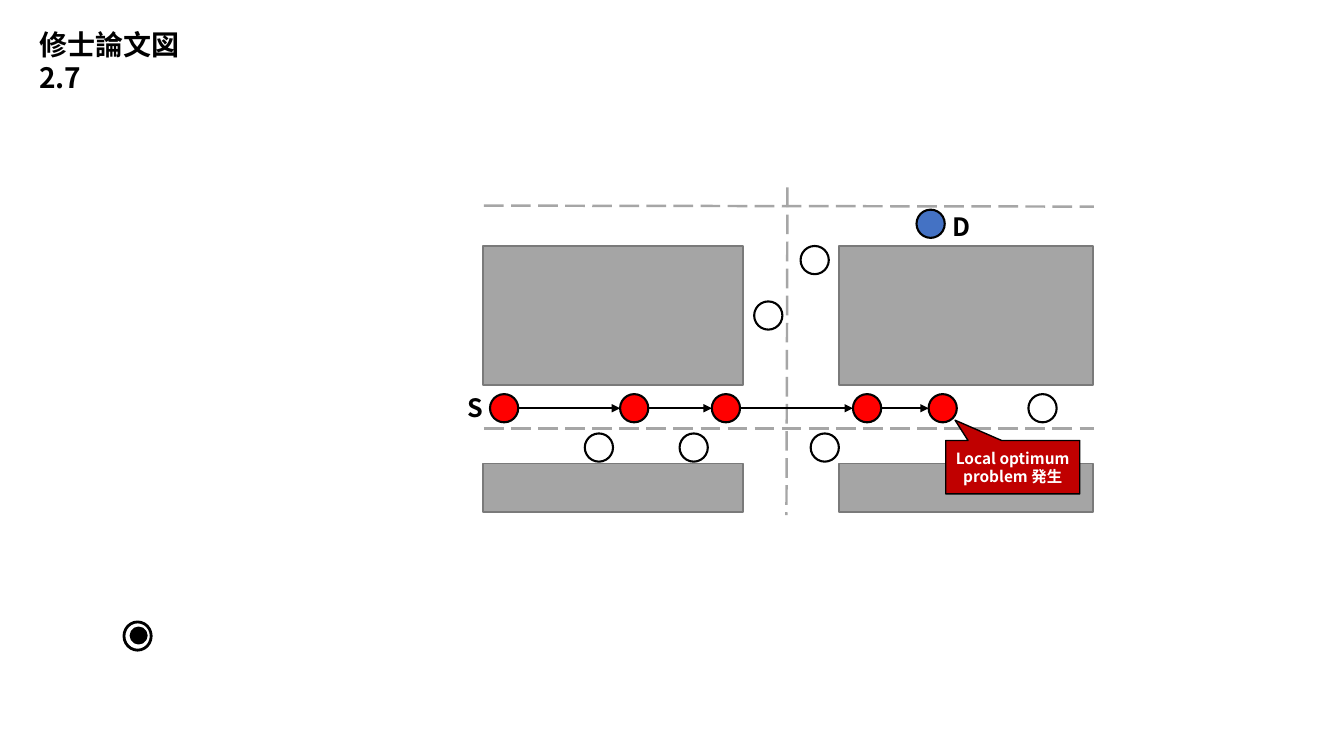
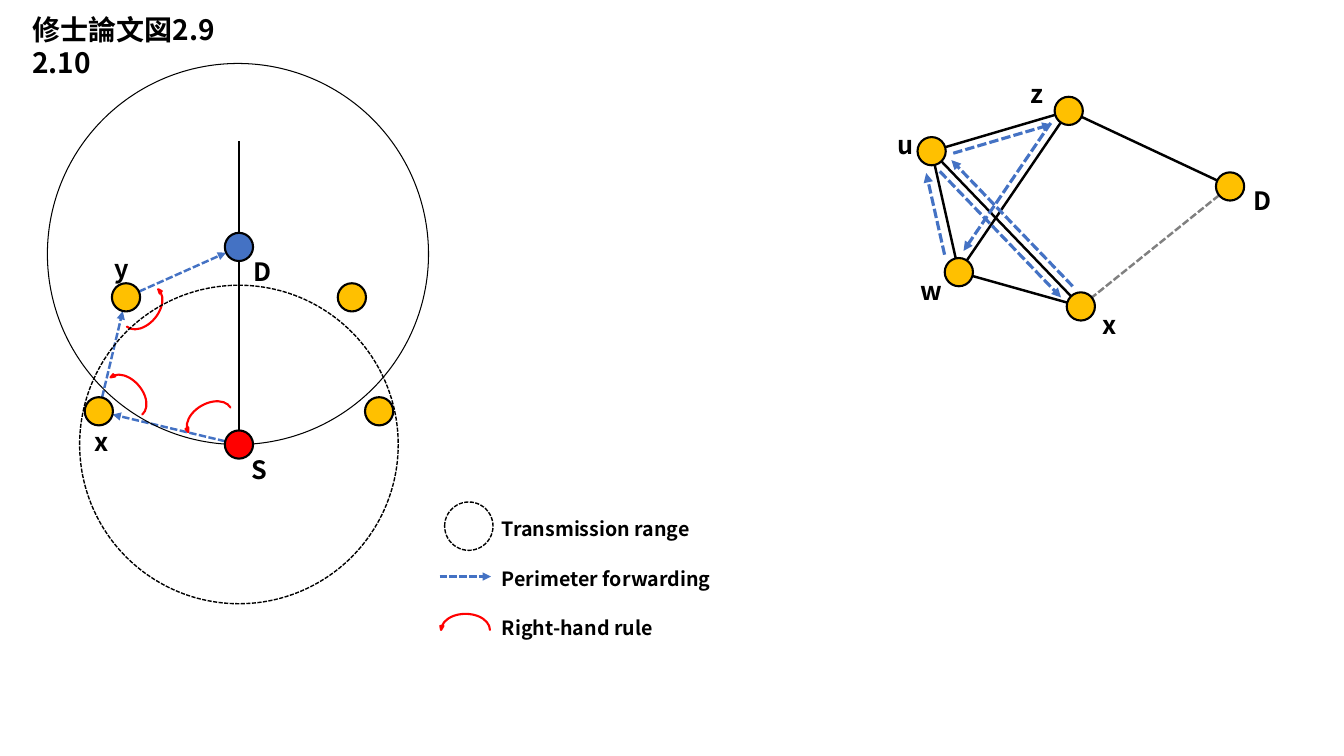
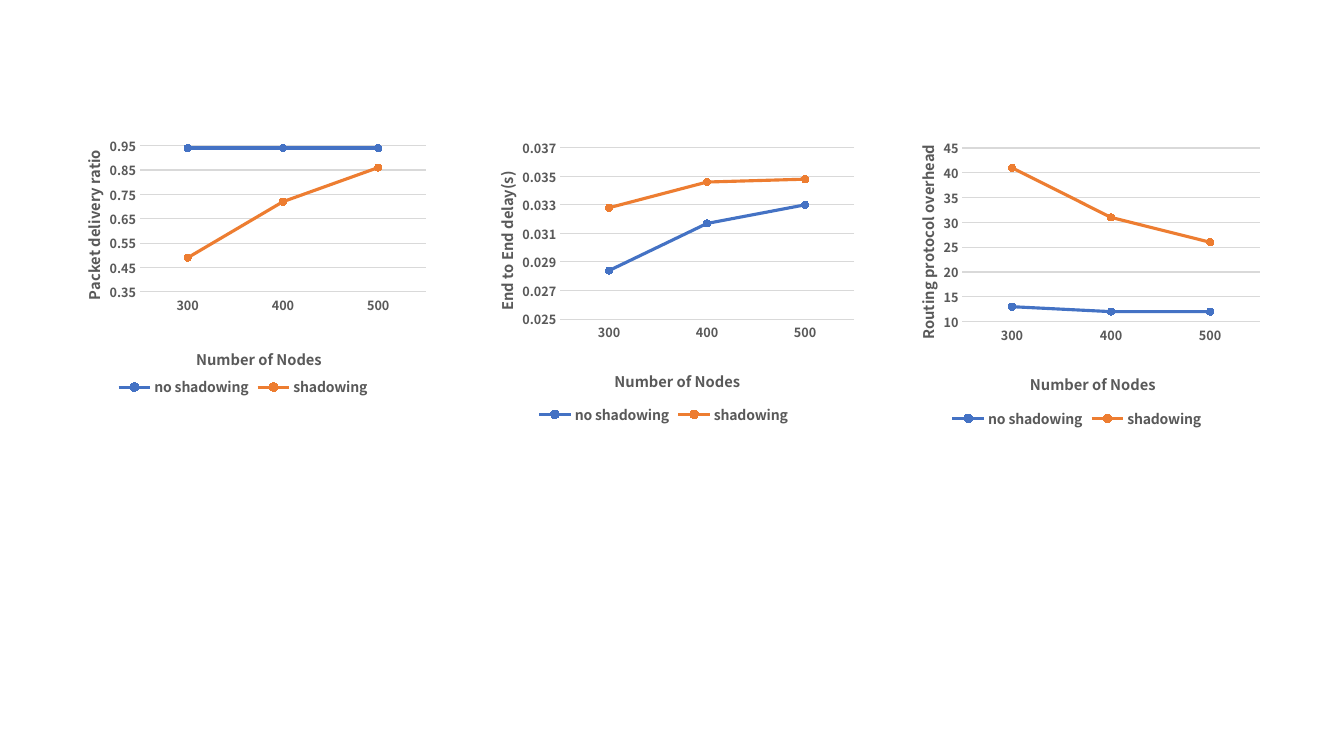
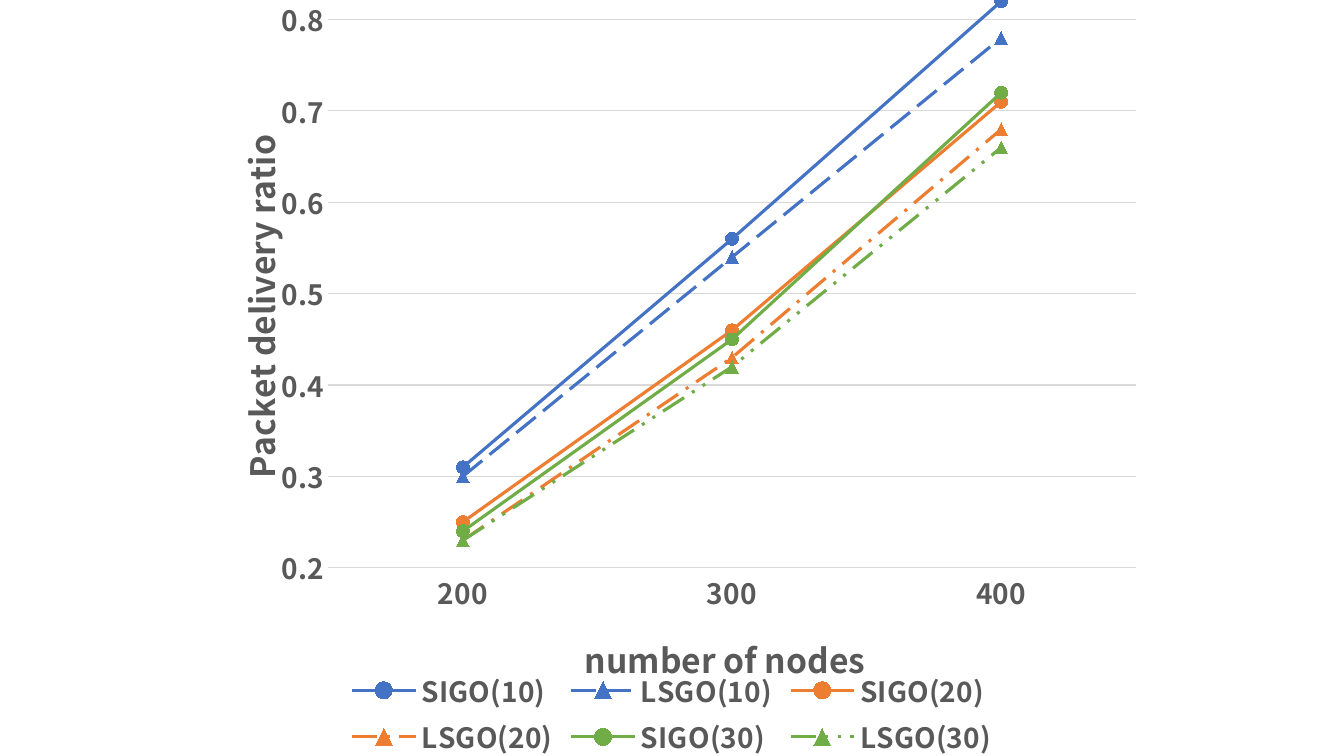
"""Build four slides of routing figures and simulation charts."""
import math

from lxml import etree
from pptx import Presentation
from pptx import util as u
from pptx.chart.data import CategoryChartData
from pptx.dml.color import RGBColor
from pptx.enum import chart as ch, dml, shapes, text
from pptx.oxml.ns import qn

FONT = "Noto Sans CJK JP"
BLACK, WHITE, RED, BLUE = "000000", "FFFFFF", "FF0000", "4472C4"
GOLD, ORANGE, GREEN = "FFC000", "ED7D31", "70AD47"
GREY, BLOCK, BLOCK_EDGE, ROAD = "595959", "A5A5A5", "7A7A7A", "A6A6A6"
GRID, CRIMSON, FAINT = "D9D9D9", "C00000", "808080"
DASH = dml.MSO_LINE
LONG, SHORT = DASH.LONG_DASH, DASH.SQUARE_DOT
SHAPE = shapes.MSO_SHAPE
OVAL, RECT, ARC = SHAPE.OVAL, SHAPE.RECTANGLE, SHAPE.CURVED_DOWN_ARROW
CALLOUT = SHAPE.RECTANGULAR_CALLOUT
LEFT, CENTER = text.PP_ALIGN.LEFT, text.PP_ALIGN.CENTER
RADIUS = 0.14


def paint(fill, color):
    if color is None:
        fill.background()
    else:
        fill.solid()
        fill.fore_color.rgb = RGBColor.from_string(color)


def write(tf, lines, size, color=BLACK, align=LEFT):
    for i, line in enumerate(lines):
        p = tf.add_paragraph() if i else tf.paragraphs[0]
        p.alignment = align
        r = p.add_run()
        r.text = line
        for key, value in {"size": u.Pt(size), "bold": True, "name": FONT}.items():
            setattr(r.font, key, value)
        paint(r.font.fill, color)
        etree.SubElement(r._r.get_or_add_rPr(), qn("a:ea"), typeface=FONT)


prs = Presentation()
prs.slide_width, prs.slide_height = u.Inches(13.33), u.Inches(7.5)

lane, shoulder = 4.05, 4.44
hops = [5, 6.29, 7.2, 8.6, 9.35]
street_nodes = [("D", 9.23, 2.22, BLUE, 0.12, -0.17), ("S", hops[0], lane, RED, -0.46, -0.21)]
street_nodes += [("", x, lane, RED, 0, 0) for x in hops[1:]]
street_nodes += [("", x, y, WHITE, 0, 0) for x, y in (
    (10.34, lane), (5.94, shoulder), (6.88, shoulder), (8.18, shoulder), (7.62, 3.13),
    (8.08, 2.58))]
street_lines = [(a, b, ROAD, 1.75, LONG, False, 0, 0) for a, b in (
    ((4.8, 4.25), (10.85, 4.25)), ((4.8, 2.04), (10.85, 2.05)), ((7.81, 1.86), (7.8, 5.11)))]
street_lines += [((a, lane), (b, lane), BLACK, 1.75, None, True, RADIUS, 0)
                 for a, b in zip(hops, hops[1:])]
street_shapes = [(RECT, x, y, w, h, BLOCK, BLOCK_EDGE, 1, None, 0)
                 for x, w in ((4.79, 2.58), (8.32, 2.52))
                 for y, h in ((2.44, 1.38), (4.6, 0.48))]
street_shapes += [(OVAL, 1.23, 6.17, 0.27, 0.28, WHITE, BLACK, 2, None, 0),
                  (OVAL, 1.3, 6.23, 0.15, 0.15, BLACK, BLACK, 2, None, 0)]

axis_x, s_y, low_y, high_y = 2.37, 4.41, 4.08, 2.95
face_nodes = [
    ("S", axis_x, s_y, RED, 0.03, 0.05), ("x", 0.98, low_y, GOLD, -0.14, 0.1),
    ("y", 1.25, high_y, GOLD, -0.21, -0.49), ("D", axis_x, 2.45, BLUE, 0.05, 0.04)]
route = [node[1:3] for node in face_nodes]
face_nodes += [("", 2 * axis_x - x, y, GOLD, 0, 0) for x, y in route[1:3]]
graph = [("x", 10.72, 3.04, GOLD, 0.12, -0.02), ("D", 12.2, 1.85, GOLD, 0.13, -0.06),
         ("z", 10.6, 1.1, GOLD, -0.48, -0.37), ("u", 9.24, 1.5, GOLD, -0.44, -0.27),
         ("w", 9.51, 2.7, GOLD, -0.48, -0.02)]
at = {node[0]: node[1:3] for node in graph}
face_lines = [((axis_x, 1.4), (axis_x, s_y), BLACK, 1.75, None, False, 0, 0)]
face_lines += [(a, b, BLUE, 1.75, SHORT, True, RADIUS, 0) for a, b in zip(route, route[1:])]
face_lines += [((4.36, 5.72), (4.87, 5.72), BLUE, 1.75, SHORT, True, 0, 0)]
face_lines += [(at[a], at[b], BLACK, 1.75, None, False, RADIUS, 0)
               for a, b in ("zD", "zw", "xw", "wu", "uz", "ux")]
face_lines += [(at["D"], at["x"], FAINT, 1.75, SHORT, False, RADIUS, 0)]
face_lines += [(at[a], at[b], BLUE, 2.25, SHORT, True, 0.2, -0.1 if a == "w" else 0.08)
               for a, b in zip("xuzwu", "uzwux")]
face_shapes = [(ARC, x - 0.25, y - 0.08, 0.5, 0.16, BLUE, RED, 1.5, None, turn)
               for x, y, turn in ((1.31, 3.87, 49.5), (2.03, 4.1, 329.8),
                                  (1.48, 3.1, 129.9), (4.61, 6.17, 0))]
face_shapes += [(OVAL, x - r, y - r, 2 * r, 2 * r, None, BLACK, width, dash, 0)
                for x, y, r, width, dash in ((2.36, 2.52, 1.89, 0.75, None),
                                             (axis_x, s_y, 1.58, 1, SHORT),
                                             (4.65, 5.22, 0.24, 1, SHORT))]
legend = ["Transmission range", "Perimeter forwarding", "Right-hand rule"]
legend_labels = [(label, 4.88, 5.08 + 0.49 * i, 2.36, 14) for i, label in enumerate(legend)]

figures = [
    ("修士論文図2.7", (0.29, 0.22, 1.9, 0.78), street_shapes, street_lines, street_nodes, []),
    ("修士論文図2.9 2.10", (0.22, 0.07, 2.5, 0.78), face_shapes, face_lines,
     face_nodes + graph, legend_labels),
]

for title, box, outlines, lines, nodes, labels in figures:
    s = prs.slides.add_slide(prs.slide_layouts[5])
    sp = s.shapes.title
    sp.left, sp.top, sp.width, sp.height = [u.Inches(v) for v in box]
    tf = sp.text_frame
    for key, value in {"word_wrap": True, "auto_size": text.MSO_AUTO_SIZE.NONE,
                       "vertical_anchor": text.MSO_ANCHOR.TOP}.items():
        setattr(tf, key, value)
    write(tf, [title], 20)

    for (x1, y1), (x2, y2), color, width, dash, arrow, trim, shift in lines:
        length = math.hypot(x2 - x1, y2 - y1)
        dx, dy = (x2 - x1) / length, (y2 - y1) / length
        ends = (x1 + trim * dx - shift * dy, y1 + trim * dy + shift * dx,
                x2 - trim * dx - shift * dy, y2 - trim * dy + shift * dx)
        sp = s.shapes.add_connector(shapes.MSO_CONNECTOR.STRAIGHT,
                                    *[u.Inches(v) for v in ends])
        paint(sp.line.fill, color)
        sp.line.width = u.Pt(width)
        if dash:
            sp.line.dash_style = dash
        if arrow:
            etree.SubElement(sp.line._get_or_add_ln(), qn("a:tailEnd"), type="triangle")
        etree.SubElement(sp._element.spPr, qn("a:effectLst"))

    discs = [(OVAL, x - RADIUS, y - RADIUS, 2 * RADIUS, 2 * RADIUS, color, BLACK, 1.5, None, 0)
             for _, x, y, color, *_ in nodes]
    for kind, x, y, w, h, fill, edge, width, dash, turn in outlines + discs:
        sp = s.shapes.add_shape(kind, *[u.Inches(v) for v in (x, y, w, h)])
        sp.shadow.inherit = False
        paint(sp.fill, fill)
        paint(sp.line.fill, edge)
        sp.line.width = u.Pt(width)
        sp.rotation = turn
        if dash:
            sp.line.dash_style = dash
        if kind == ARC:
            for i, value in enumerate((0, 0.195, 0.25)):
                sp.adjustments[i] = value
            sp._element.spPr.get_or_add_xfrm().set("flipH", "1")

    names = [(name, x + dx, y + dy, 0.39, 18) for name, x, y, _, dx, dy in nodes if name]
    for label, x, y, w, size in names + labels:
        sp = s.shapes.add_textbox(*[u.Inches(v) for v in (x, y, w, 0.1 + size / 60)])
        sp.text_frame.word_wrap = True
        write(sp.text_frame, [label], size)

s = prs.slides[0]
sp = s.shapes.add_shape(CALLOUT, *[u.Inches(v) for v in (9.38, 4.37, 1.33, 0.53)])
sp.shadow.inherit = False
paint(sp.fill, CRIMSON)
paint(sp.line.fill, BLACK)
sp.line.width = u.Pt(1)
sp.adjustments[0], sp.adjustments[1] = -0.43, -0.88
tf = sp.text_frame
tf.word_wrap = True
tf.vertical_anchor = text.MSO_ANCHOR.MIDDLE
tf.margin_left = tf.margin_right = u.Inches(0.05)
write(tf, ["Local optimum", "problem 発生"], 11, WHITE, CENTER)

CIRCLE, TRIANGLE = ch.XL_MARKER_STYLE.CIRCLE, ch.XL_MARKER_STYLE.TRIANGLE
small = {"cats": ["300", "400", "500"], "cat_title": "Number of Nodes",
         "sizes": (10.5, 9, 10, 5), "cat_at": (0.37, 0.79),
         "series": [("no shadowing", BLUE, CIRCLE, None), ("shadowing", ORANGE, CIRCLE, None)]}
small_charts = [
    ("Packet delivery ratio", (0.52, 1.27, 3.78, 2.71), (0.35, 1, 0.1), 0.23, 0.02, 0.07,
     [(0.94, 0.94, 0.94), (0.49, 0.72, 0.86)]),
    ("End to End delay(s)", (4.61, 1.32, 3.94, 2.93), (0.025, 0.037, 0.002), 0.24, 0.05, 0.12,
     [(0.0284, 0.0317, 0.033), (0.0328, 0.0346, 0.0348)]),
    ("Routing protocol overhead", (8.79, 1.32, 3.78, 2.97), (10, 45, 5), 0.2, 0.05, 0.03,
     [(13, 12, 12), (41, 31, 26)]),
]
chart_slides = [
    [{**small, "val_title": title, "at": box, "scale": scale, "vals": vals,
      "plot": (left, top, 0.98 - left, 0.58), "val_at": (0.07, title_top)}
     for title, box, scale, left, top, title_top, vals in small_charts],
    [{"cats": ["200", "300", "400"], "cat_title": "number of nodes",
      "sizes": (24, 20, 20, 9), "at": (2.06, -0.5, 9.21, 8.07),
      "val_title": "Packet delivery ratio", "scale": (0.2, 0.85, 0.1),
      "plot": (0.13, 0.03, 0.87, 0.73), "cat_at": (0.4, 0.83), "val_at": (0.02, 0.22),
      "series": [(f"{protocol}({load})", color, mark, dash)
                 for load, color, broken in ((10, BLUE, LONG),
                                             (20, ORANGE, DASH.LONG_DASH_DOT),
                                             (30, GREEN, DASH.DASH_DOT_DOT))
                 for protocol, mark, dash in (("SIGO", CIRCLE, None),
                                              ("LSGO", TRIANGLE, broken))],
      "vals": [(0.31, 0.56, 0.82), (0.3, 0.54, 0.78), (0.25, 0.46, 0.71),
               (0.23, 0.43, 0.68), (0.24, 0.45, 0.72), (0.23, 0.42, 0.66)]}],
]

for charts in chart_slides:
    s = prs.slides.add_slide(prs.slide_layouts[6])
    for c in charts:
        data = CategoryChartData()
        data.categories = c["cats"]
        for (name, *_), vals in zip(c["series"], c["vals"]):
            data.add_series(name, vals)
        chart = s.shapes.add_chart(ch.XL_CHART_TYPE.LINE_MARKERS,
                                   *[u.Inches(v) for v in c["at"]], data).chart
        title_size, tick_size, legend_size, mark_size = c["sizes"]
        chart.has_title = False
        chart.has_legend = True
        chart.legend.position = ch.XL_LEGEND_POSITION.BOTTOM
        chart.legend.include_in_layout = False
        chart.plots[0].vary_by_categories = False

        cat, val = chart.category_axis, chart.value_axis
        fonts = [(chart.font, 10, False, BLACK), (chart.legend.font, legend_size, True, GREY)]
        fonts += [(axis.tick_labels.font, tick_size, True, GREY) for axis in (cat, val)]
        for font, size, bold, color in fonts:
            for key, value in {"size": u.Pt(size), "bold": bold, "name": FONT}.items():
                setattr(font, key, value)
            paint(font.fill, color)

        for key, value in zip(("minimum_scale", "maximum_scale", "major_unit"), c["scale"]):
            setattr(val, key, value)
        val.has_major_gridlines = True
        for line in (val.major_gridlines.format.line, cat.format.line):
            paint(line.fill, GRID)
            line.width = u.Pt(0.75)
        paint(val.format.line.fill, None)

        layouts = [(chart._chartSpace.chart.plotArea, 0, c["plot"])]
        for axis, key in ((cat, "cat"), (val, "val")):
            axis.major_tick_mark = axis.minor_tick_mark = ch.XL_TICK_MARK.NONE
            tf = axis.axis_title.text_frame
            write(tf, [c[key + "_title"]], title_size, GREY, CENTER)
            tf._txBody.bodyPr.set("rot", "-5400000" if axis is val else "0")
            layouts.append((axis.axis_title._element, 1, c[key + "_at"]))
        for parent, place, spot in layouts:
            for old in parent.findall(qn("c:layout")):
                parent.remove(old)
            layout = etree.Element(qn("c:layout"))
            parent.insert(place, layout)
            manual = etree.SubElement(layout, qn("c:manualLayout"))
            if len(spot) == 4:
                etree.SubElement(manual, qn("c:layoutTarget"), val="inner")
            for tag in ("c:xMode", "c:yMode"):
                etree.SubElement(manual, qn(tag), val="edge")
            for tag, value in zip("xywh", spot):
                etree.SubElement(manual, qn("c:" + tag), val=f"{value:.2f}")

        for ser, (_, color, mark, dash) in zip(chart.plots[0].series, c["series"]):
            ser.smooth = False
            paint(ser.format.line.fill, color)
            ser.format.line.width = u.Pt(2.25)
            if dash:
                ser.format.line.dash_style = dash
            ser.marker.style, ser.marker.size = mark, mark_size
            paint(ser.marker.format.fill, color)
            paint(ser.marker.format.line.fill, color)

prs.save("out.pptx")
